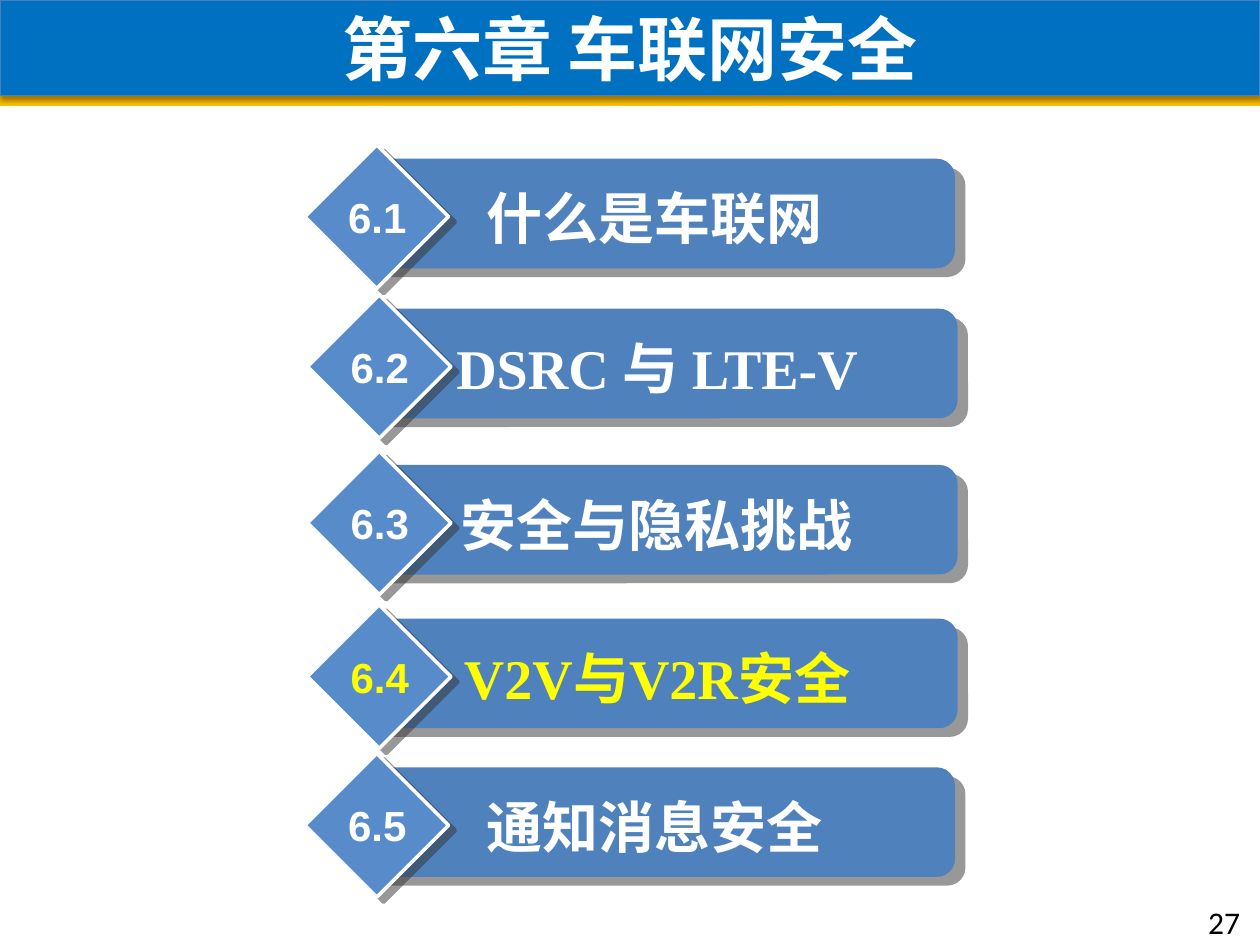
from lxml.etree import SubElement
from pptx import Presentation
from pptx.dml.color import RGBColor
from pptx.enum.shapes import MSO_SHAPE
from pptx.enum.text import MSO_ANCHOR, PP_ALIGN
from pptx.oxml.ns import qn
from pptx.util import Inches, Pt

BLUE = RGBColor(0x00, 0x70, 0xC0)
EDGE = RGBColor(0x4B, 0x7E, 0xBC)
GOLD = RGBColor(0xFF, 0xC0, 0x00)
BAR = RGBColor(0x4F, 0x81, 0xBD)
GEM = RGBColor(0x57, 0x8B, 0xC9)
WHITE = RGBColor(0xFF, 0xFF, 0xFF)
YELLOW = RGBColor(0xFF, 0xFF, 0x00)
BLACK = RGBColor(0x00, 0x00, 0x00)
HAN = "Noto Sans CJK SC"
ROMAN = "Times New Roman"

# left, top, number, runs of (text, font), colour
ROWS = [
    (2.42, 1.15, "6.1", [("什么是车联网", "Arial")], WHITE),
    (2.44, 2.34, "6.2", [("DSRC ", ROMAN), ("与 ", "Arial"), ("LTE-V", ROMAN)], WHITE),
    (2.44, 3.58, "6.3", [("安全与隐私挑战", ROMAN)], WHITE),
    (2.44, 4.80, "6.4", [("V2V与V2R安全", ROMAN)], YELLOW),
    (2.42, 5.98, "6.5", [("通知消息安全", ROMAN)], WHITE),
]


def add_shade(shape, color, alpha, blur, dist, angle):
    """Give an outer shadow: alpha in percent, blur and dist in points."""
    shape.shadow.inherit = False
    effects = shape._element.spPr.find(qn("a:effectLst"))
    outer = SubElement(effects, qn("a:outerShdw"), blurRad=str(Pt(blur)),
                       dist=str(Pt(dist)), dir=str(angle * 60000),
                       algn="ctr", rotWithShape="0")
    tint = SubElement(outer, qn("a:srgbClr"), val=color)
    SubElement(tint, qn("a:alpha"), val=str(alpha * 1000))


def add_block(shapes, kind, box, fill, line=None, width=0):
    shape = shapes.add_shape(kind, *map(Inches, box))
    shape.shadow.inherit = False
    shape.fill.solid()
    shape.fill.fore_color.rgb = fill
    if line is None:
        shape.line.fill.background()
    else:
        shape.line.color.rgb = line
        shape.line.width = Pt(width)
    return shape


def write(shape, runs, size, color, bold=True, align=PP_ALIGN.CENTER):
    para = shape.text_frame.paragraphs[0]
    para.alignment = align
    for text, face in runs:
        run = para.add_run()
        run.text = text
        font = run.font
        font.size, font.bold, font.name = Pt(size), bold, face
        font.color.rgb = color
        SubElement(run._r.get_or_add_rPr(), qn("a:ea"), typeface=HAN)


def add_label(shapes, box, runs, size, color, wrap=True, **style):
    label = shapes.add_textbox(*map(Inches, box))
    label.text_frame.word_wrap = wrap
    write(label, runs, size, color, **style)


def add_head(shapes, left, top, width):
    add_block(shapes, MSO_SHAPE.RECTANGLE, (left, top + 0.76, width, 0.08), GOLD)
    head = add_block(shapes, MSO_SHAPE.RECTANGLE, (left, top, width, 0.76),
                     BLUE, EDGE, 0.75)
    add_shade(head, "000000", 38, 3.1, 1.6, 90)
    head.text_frame.vertical_anchor = MSO_ANCHOR.MIDDLE
    write(head, [("第六章 车联网安全", HAN)], 40, WHITE)


def add_row(shapes, left, top, number, runs, color):
    parts = shapes.add_group_shape().shapes
    bar = add_block(parts, MSO_SHAPE.ROUNDED_RECTANGLE,
                    (left + 0.41, top + 0.11, 4.75, 0.87), BAR)
    add_shade(bar, "333333", 50, 0, 7.8, 40)
    gem = add_block(parts, MSO_SHAPE.DIAMOND, (left, top, 1.14, 1.14), GEM, WHITE, 2)
    add_shade(gem, "333333", 50, 0, 5, 37)
    add_label(parts, (left + 0.9, top + 0.26, 3.75, 0.64), runs, 32, color)
    add_label(parts, (left + 0.24, top + 0.32, 0.67, 0.5),
              [(number, "Arial")], 24, color, wrap=False)


def main():
    deck = Presentation()
    deck.slide_width, deck.slide_height = Inches(10), Inches(7.5)
    shapes = deck.slides.add_slide(deck.slide_layouts[6]).shapes
    add_head(shapes, 0, 0, 10)
    for row in ROWS:
        add_row(shapes, *row)
    add_label(shapes, (9.49, 7.12, 0.47, 0.39), [("27", "Calibri")], 18, BLACK,
              bold=False, align=PP_ALIGN.LEFT)
    deck.save("out.pptx")


if __name__ == "__main__":
    main()
